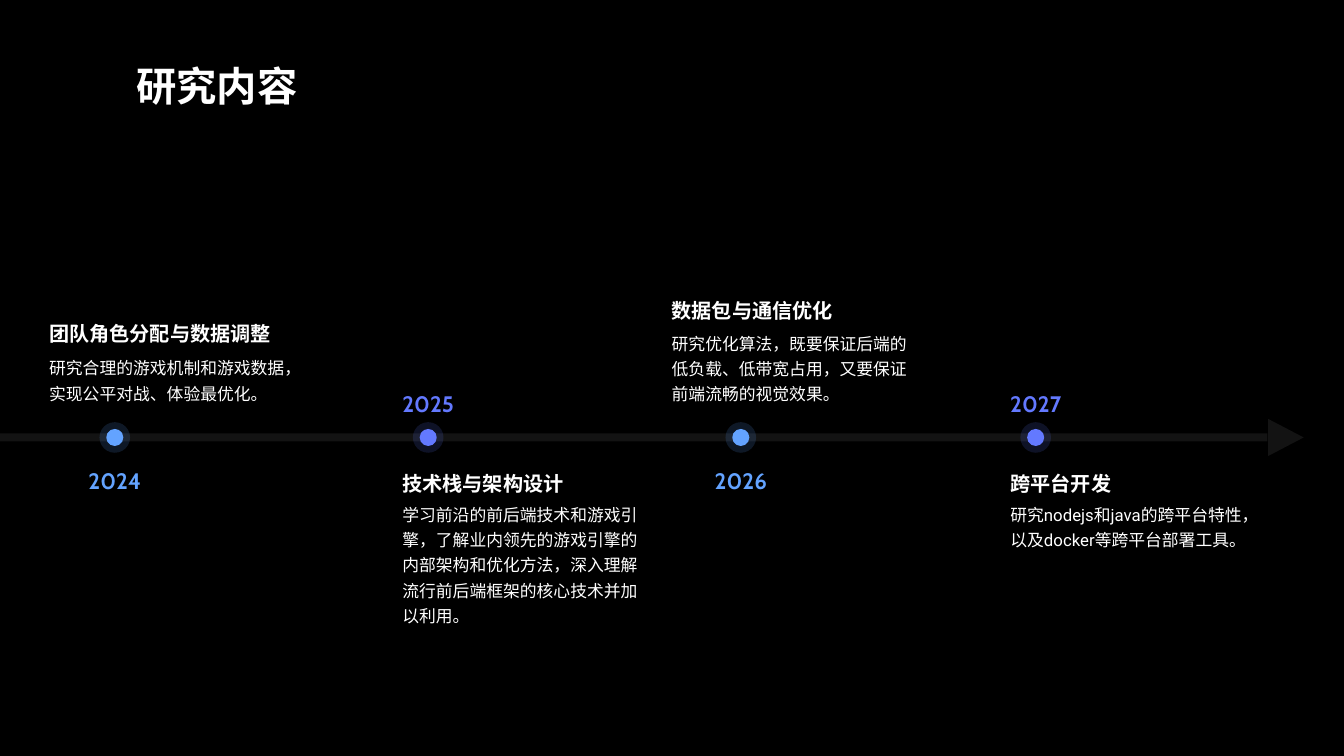
"""Build the research timeline slide on a square grid, 100 columns wide."""
import pptx
import pptx.dml.color
import pptx.enum.shapes
import pptx.enum.text
import pptx.oxml.ns
import pptx.util
import lxml.etree

RGB = pptx.dml.color.RGBColor
WHITE = RGB(0xFF, 0xFF, 0xFF)
BLACK = RGB(0x00, 0x00, 0x00)
GRAY = RGB(0x80, 0x80, 0x80)
BLUE = RGB(0x63, 0xA3, 0xFF)
VIOLET = RGB(0x63, 0x79, 0xFF)
KIND = pptx.enum.shapes.MSO_SHAPE
ALIGN = pptx.enum.text.PP_ALIGN
ANCHOR = pptx.enum.text.MSO_ANCHOR

deck = pptx.Presentation()
deck.slide_width = pptx.util.Inches(16.67)
deck.slide_height = pptx.util.Inches(9.38)
unit = deck.slide_width / 100
slide = deck.slides.add_slide(deck.slide_layouts[6])
slide.background.fill.solid()
slide.background.fill.fore_color.rgb = BLACK


def write(text, at, size, color=WHITE, font="Roboto", bold=True,
          align=ALIGN.LEFT, anchor=ANCHOR.TOP):
    frame = slide.shapes.add_textbox(*[round(n * unit) for n in at]).text_frame
    frame.margin_left = frame.margin_right = 0
    frame.margin_top = frame.margin_bottom = 0
    frame.word_wrap = True
    frame.vertical_anchor = anchor
    line = frame.paragraphs[0]
    line.alignment = align
    line.line_spacing = 1.25
    run = line.add_run()
    run.text = text
    run.font.name = font
    run.font.size = pptx.util.Pt(size)
    run.font.bold = bold
    run.font.color.rgb = color


def draw(kind, at, color, faint=True):
    shape = slide.shapes.add_shape(kind, *[round(n * unit) for n in at])
    shape.shadow.inherit = False
    shape.fill.solid()
    shape.fill.fore_color.rgb = color
    if faint:
        shape.line.fill.background()
        tint = shape.element.spPr.find(pptx.oxml.ns.qn("a:solidFill"))[0]
        alpha = lxml.etree.SubElement(tint, pptx.oxml.ns.qn("a:alpha"))
        alpha.set("val", "15000")
    else:
        shape.line.color.rgb = color
        shape.line.width = pptx.util.Pt(1.5)
    return shape


axis = 32.56
draw(KIND.RECTANGLE, (0, axis - 0.3, 94.3, 0.6), GRAY)
arrow = draw(KIND.ISOSCELES_TRIANGLE, (94.3, axis - 1.32, 2.76, 2.64), GRAY)
arrow.rotation = 90

write("研究内容", (10.14, 3.12, 85.6, 5.52), 36, anchor=ANCHOR.MIDDLE)

stages = [
    ("2024", BLUE, 8.54, 34.26, 3.66, 23.46, 26.28, "团队角色分配与数据调整",
     "研究合理的游戏机制和游戏数据，实现公平对战、体验最优化。"),
    ("2025", VIOLET, 31.86, 28.5, 29.94, 34.62, 37.2, "技术栈与架构设计",
     "学习前沿的前后端技术和游戏引擎，了解业内领先的游戏引擎的内部架构和优化方法，"
     "深入理解流行前后端框架的核心技术并加以利用。"),
    ("2026", BLUE, 55.12, 34.26, 49.98, 21.72, 24.48, "数据包与通信优化",
     "研究优化算法，既要保证后端的低负载、低带宽占用，又要保证前端流畅的视觉效果。"),
    ("2027", VIOLET, 77.06, 28.5, 75.18, 34.62, 37.2, "跨平台开发",
     "研究nodejs和java的跨平台特性，以及docker等跨平台部署工具。"),
]

for year, color, mid, top, left, head, body, name, note in stages:
    for half, faint in ((1.14, True), (0.57, False)):
        ring = (mid - half, axis - half, 2 * half, 2 * half)
        draw(KIND.OVAL, ring, color, faint)
    write(year, (mid - 2.25, top, 4.5, 2.5), 20, color=color, font="Cabin",
          align=ALIGN.CENTER)
    write(name, (left, head, 18.1, 2.28), 18)
    write(note, (left, body, 18.1, 14.94), 15, bold=False)

deck.save("out.pptx")
